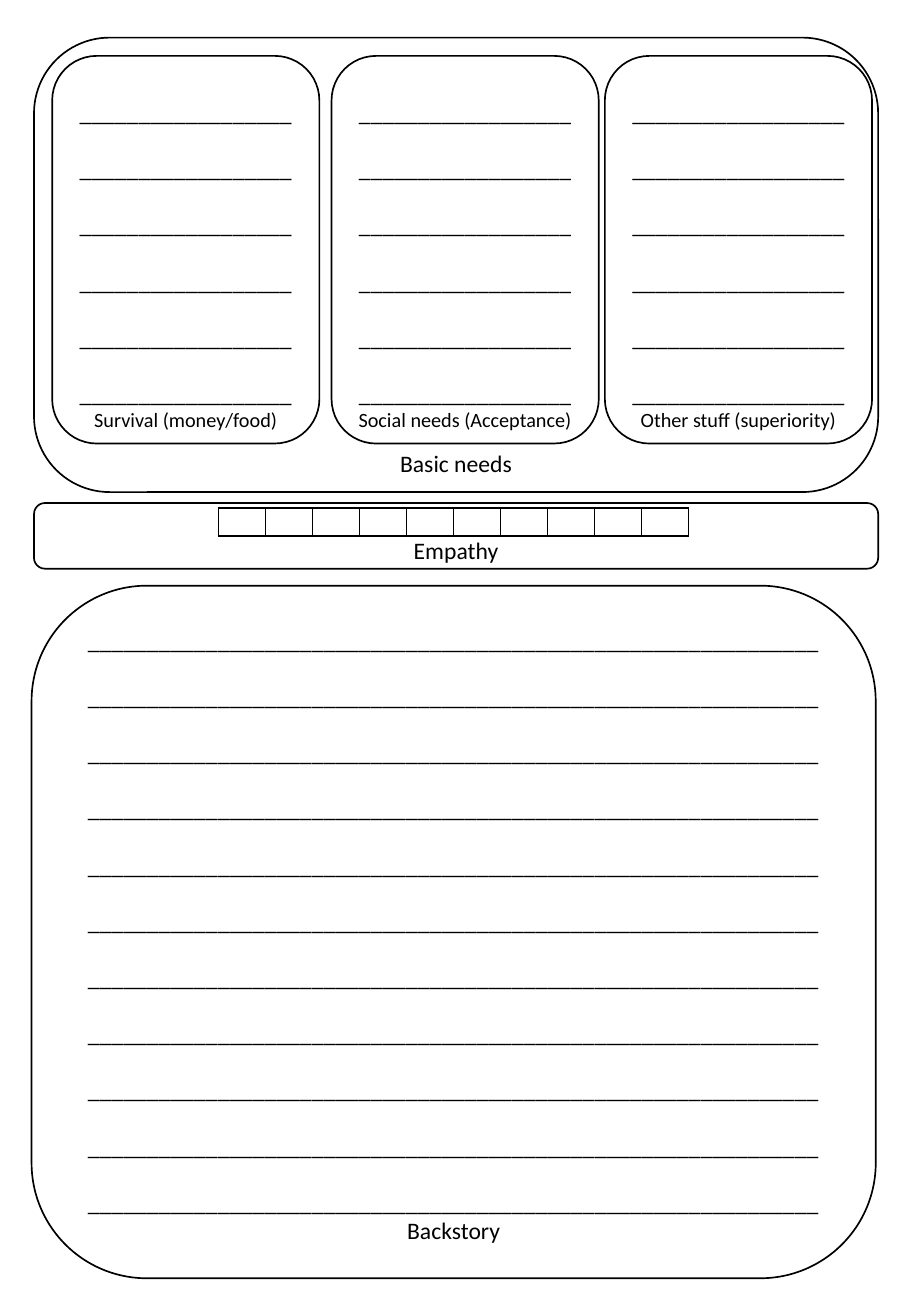
"""Build a one-page character worksheet: basic needs, empathy scale and backstory."""
from dataclasses import dataclass

from lxml.etree import SubElement
from pptx import Presentation
from pptx.dml.color import RGBColor
from pptx.enum.shapes import MSO_SHAPE as Shape
from pptx.enum.text import MSO_ANCHOR as Anchor, PP_ALIGN as Align
from pptx.oxml.ns import qn
from pptx.util import Inches, Pt


@dataclass(frozen=True)
class Theme:
    """Colours, font and sizes of the worksheet."""
    ink: RGBColor = RGBColor(0, 0, 0)
    paper: RGBColor = RGBColor(255, 255, 255)
    font: str = "Calibri"
    body: float = 14
    small: float = 12
    rule_gap: float = 16.5
    line: float = 1


THEME = Theme()


@dataclass(frozen=True)
class Panel:
    """A rounded panel with writing rules above its caption."""
    caption: str
    left: float
    top: float
    width: float
    height: float
    rules: int = 0
    rule_length: int = 0
    caption_size: float = THEME.body
    bottom_inset: float = 0


NEEDS = (("Survival (money/food)", 0.43), ("Social needs (Acceptance)", 2.73),
         ("Other stuff (superiority)", 4.98))
PANELS = (
    Panel("Basic needs", 0.28, 0.31, 6.95, 3.74, bottom_inset=-0.06),
    Panel("Backstory", 0.26, 4.82, 6.95, 5.7, rules=11, rule_length=62),
    *(Panel(caption, left, 0.46, 2.2, 3.19, rules=6, rule_length=18,
            caption_size=THEME.small, bottom_inset=-0.01) for caption, left in NEEDS),
    Panel("Empathy", 0.28, 4.14, 6.95, 0.54, bottom_inset=0.01),
)


def write(paragraph, text: str, *, size: float = THEME.body, after: float = 0) -> None:
    """Write one centred line of text."""
    paragraph.alignment = Align.CENTER
    paragraph.space_after = Pt(after)
    run = paragraph.add_run()
    run.text = text
    run.font.name = THEME.font
    run.font.size = Pt(size)
    run.font.color.rgb = THEME.ink


def draw_panel(slide, panel: Panel) -> None:
    """Draw a panel with its rules and caption."""
    box = slide.shapes.add_shape(
        Shape.ROUNDED_RECTANGLE, Inches(panel.left), Inches(panel.top),
        Inches(panel.width), Inches(panel.height))
    box.shadow.inherit = False
    box.fill.solid()
    box.fill.fore_color.rgb = THEME.paper
    box.line.color.rgb = THEME.ink
    box.line.width = Pt(THEME.line)
    frame = box.text_frame
    frame.word_wrap = True
    frame.vertical_anchor = Anchor.BOTTOM
    frame.margin_left = frame.margin_right = frame.margin_top = 0
    frame.margin_bottom = Inches(panel.bottom_inset)
    paragraph = frame.paragraphs[0]
    for number in range(1, panel.rules + 1):
        write(paragraph, "_" * panel.rule_length,
              after=THEME.rule_gap if number < panel.rules else 0)
        paragraph = frame.add_paragraph()
    write(paragraph, panel.caption, size=panel.caption_size)


def outline_cell(cell) -> None:
    """Give a cell a thin border on every side."""
    properties = cell._tc.get_or_add_tcPr()
    for position, side in enumerate(("a:lnL", "a:lnR", "a:lnT", "a:lnB")):
        border = properties.makeelement(qn(side), {"w": str(Pt(THEME.line))})
        fill = SubElement(border, qn("a:solidFill"))
        SubElement(fill, qn("a:srgbClr"), val=str(THEME.ink))
        properties.insert(position, border)


def draw_empathy_scale(slide, steps: int = 10) -> None:
    """Draw the row of empty boxes that rates empathy."""
    scale = slide.shapes.add_table(
        1, steps, Inches(1.8), Inches(4.18), Inches(3.87), Inches(0.23)).table
    scale.first_row = scale.horz_banding = False
    for cell in scale.iter_cells():
        cell.fill.solid()
        cell.fill.fore_color.rgb = THEME.paper
        cell.margin_top = cell.margin_bottom = 0
        SubElement(cell.text_frame.paragraphs[0]._p, qn("a:endParaRPr"),
                   sz=str(int(THEME.small * 100)))
        outline_cell(cell)


def main() -> None:
    """Build and save the worksheet."""
    deck = Presentation()
    deck.slide_width, deck.slide_height = Inches(7.5), Inches(10.83)
    slide = deck.slides.add_slide(deck.slide_layouts[6])
    for panel in PANELS:
        draw_panel(slide, panel)
    draw_empathy_scale(slide)
    deck.save("out.pptx")


if __name__ == "__main__":
    main()
